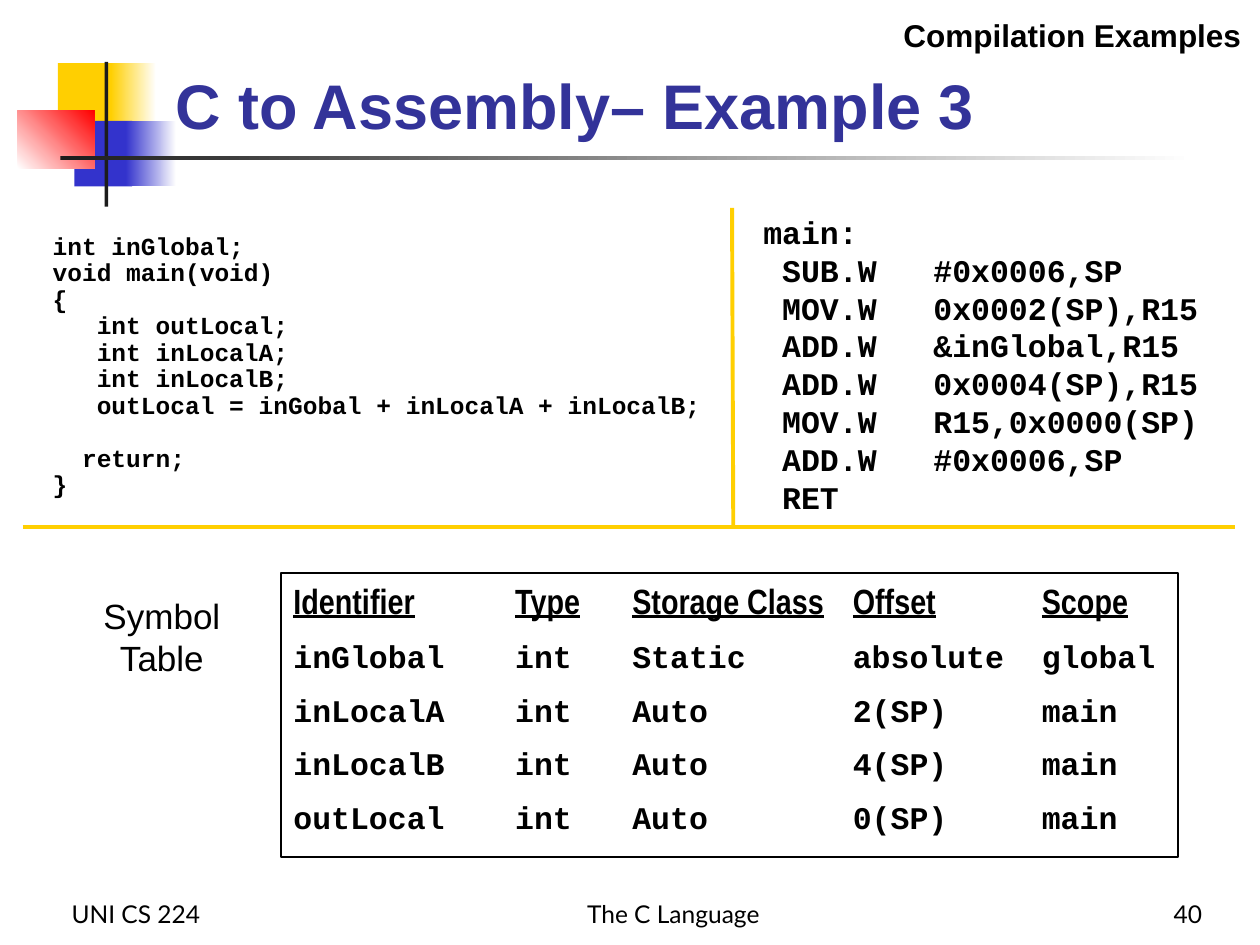
import pptx
import pptx.util
import pptx.dml.color
import pptx.enum.shapes
import pptx.enum.text
import pptx.oxml.ns
import lxml.etree

Inches, Pt = pptx.util.Inches, pptx.util.Pt
RGB = pptx.dml.color.RGBColor.from_string
qn = pptx.oxml.ns.qn
ALIGN, ANCHOR = pptx.enum.text.PP_ALIGN, pptx.enum.text.MSO_ANCHOR
RECT = pptx.enum.shapes.MSO_SHAPE.RECTANGLE

C = {"gold": "FFCF01", "blue": "3333CC", "red": "FF0000", "white": "FFFFFF",
     "ink": "1C1C1C", "title": "333399", "black": "000000"}

prs = pptx.Presentation()
prs.slide_width, prs.slide_height = Inches(10), Inches(7.5)
s = prs.slides.add_slide(prs.slide_layouts[5])


def write(box, text, font="Arial", size=18, color="black", bold=False,
          align=ALIGN.LEFT, anchor=ANCHOR.TOP, spacing=None, before=0):
    """Fill a shape with one paragraph per line; before is the gap between them."""
    tf = box.text_frame
    tf.word_wrap = True
    tf.auto_size = pptx.enum.text.MSO_AUTO_SIZE.NONE
    tf.vertical_anchor = anchor
    for i, line in enumerate(text.split("\n")):
        p = tf.add_paragraph() if i else tf.paragraphs[0]
        p.alignment = align
        p.line_spacing = spacing
        p.space_before = Pt(before if i else 0)
        p.text = line
        for r in p.runs:
            r.font.name, r.font.size, r.font.bold = font, Pt(size), bold
            r.font.color.rgb = RGB(C[color])
    return tf


def add_text(at, text, **fmt):
    return write(s.shapes.add_textbox(*map(Inches, at)), text, **fmt)


# Corner ornament: one colour is a solid fill, two are a gradient
ornament = [
    ((0.46, 0.5, 0.48, 0.52), ["gold"], 0),
    ((0.88, 0.5, 0.36, 0.52), ["gold", "white"], 0),
    ((0.59, 0.96, 0.46, 0.52), ["blue"], 0),
    ((1, 0.96, 0.4, 0.52), ["blue", "white"], 0),
    ((0.14, 0.88, 0.61, 0.46), ["white", "red"], 45),
    ((0.83, 0.49, 0.03, 1.15), ["ink"], 0),
    ((0.48, 1.24, 9, 0.03), ["ink", "white"], 0),
]
for at, colors, angle in ornament:
    sp = s.shapes.add_shape(RECT, *map(Inches, at))
    sp.shadow.inherit = False
    sp.line.fill.background()
    if len(colors) == 1:
        sp.fill.solid()
        sp.fill.fore_color.rgb = RGB(C[colors[0]])
    else:
        sp.fill.gradient()
        sp.fill.gradient_angle = angle
        for i, (stop, color) in enumerate(zip(sp.fill.gradient_stops, colors)):
            stop.position = i
            stop.color.rgb = RGB(C[color])

# Title and heading
title = s.shapes.title
title.left, title.top, title.width, title.height = map(Inches, (1.29, 0.23, 8.52, 0.95))
write(title, "C to Assembly– Example 3", size=36, color="title", bold=True,
      anchor=ANCHOR.BOTTOM)
add_text((5.93, 0.08, 4.02, 0.4), "Compilation Examples", bold=True, align=ALIGN.RIGHT)

# C source beside its assembly
source = """int inGlobal;
void main(void)
{
   int outLocal;
   int inLocalA;
   int inLocalB;
   outLocal = inGobal + inLocalA + inLocalB;
  return;
}"""
tf = add_text((0.32, 1.81, 5.37, 2.2), source, font="Courier New", size=14,
              bold=True, spacing=0.9)
tf.paragraphs[7].space_before = Pt(15)

assembly = """main:
 SUB.W   #0x0006,SP
 MOV.W   0x0002(SP),R15
 ADD.W   &inGlobal,R15
 ADD.W   0x0004(SP),R15
 MOV.W   R15,0x0000(SP)
 ADD.W   #0x0006,SP
 RET"""
add_text((5.96, 1.64, 3.83, 2.5), assembly, font="Courier New", bold=True,
         anchor=ANCHOR.MIDDLE)

# Dividers
for ends in [(5.81, 1.65, 5.82, 4.18), (0.18, 4.18, 9.8, 4.18)]:
    cn = s.shapes.add_connector(pptx.enum.shapes.MSO_CONNECTOR.STRAIGHT, *map(Inches, ends))
    cn.line.color.rgb = RGB(C["gold"])
    cn.line.width = Pt(2.25)
    lxml.etree.SubElement(cn._element.spPr, qn("a:effectLst"))

# Symbol table: tabbed columns in one framed box
add_text((0.46, 4.67, 1.65, 0.77), "Symbol\vTable", size=20, align=ALIGN.CENTER)

symbols = """inGlobal\tint\tStatic\tabsolute\tglobal
inLocalA\tint\tAuto\t2(SP)\tmain
inLocalB\tint\tAuto\t4(SP)\tmain
outLocal\tint\tAuto\t0(SP)\tmain"""
headings = ["Identifier", "Type", "Storage Class", "Offset", "Scope"]
frame = s.shapes.add_shape(RECT, *map(Inches, (2.23, 4.55, 7.12, 2.25)))
frame.shadow.inherit = False
frame.fill.background()
frame.line.color.rgb = RGB(C["black"])
frame.line.width = Pt(1)
tf = write(frame, "\n" + symbols, font="Courier New", bold=True, before=9)
for i, heading in enumerate(headings):
    for text in (["\t"] if i else []) + [heading]:
        r = tf.paragraphs[0].add_run()
        r.text = text
        r.font.name, r.font.size, r.font.bold = "Arial Narrow", Pt(20), True
        r.font.underline = text != "\t"
        r.font.color.rgb = RGB(C["black"])
for p in tf.paragraphs:
    tabs = lxml.etree.SubElement(p._p.get_or_add_pPr(), qn("a:tabLst"))
    for stop in (1.76, 2.69, 4.44, 5.94):
        lxml.etree.SubElement(tabs, qn("a:tab"), pos=str(Inches(stop)), algn="l")

# Footer
for left, width, text, align in [(0.47, 2.08, "UNI CS 224", ALIGN.LEFT),
                                 (2.78, 5.13, "The C Language", ALIGN.CENTER),
                                 (7.56, 2.08, "40", ALIGN.RIGHT)]:
    add_text((left, 6.92, width, 0.5), text, font="Lato", size=14, align=align,
             anchor=ANCHOR.BOTTOM)

prs.save("out.pptx")
